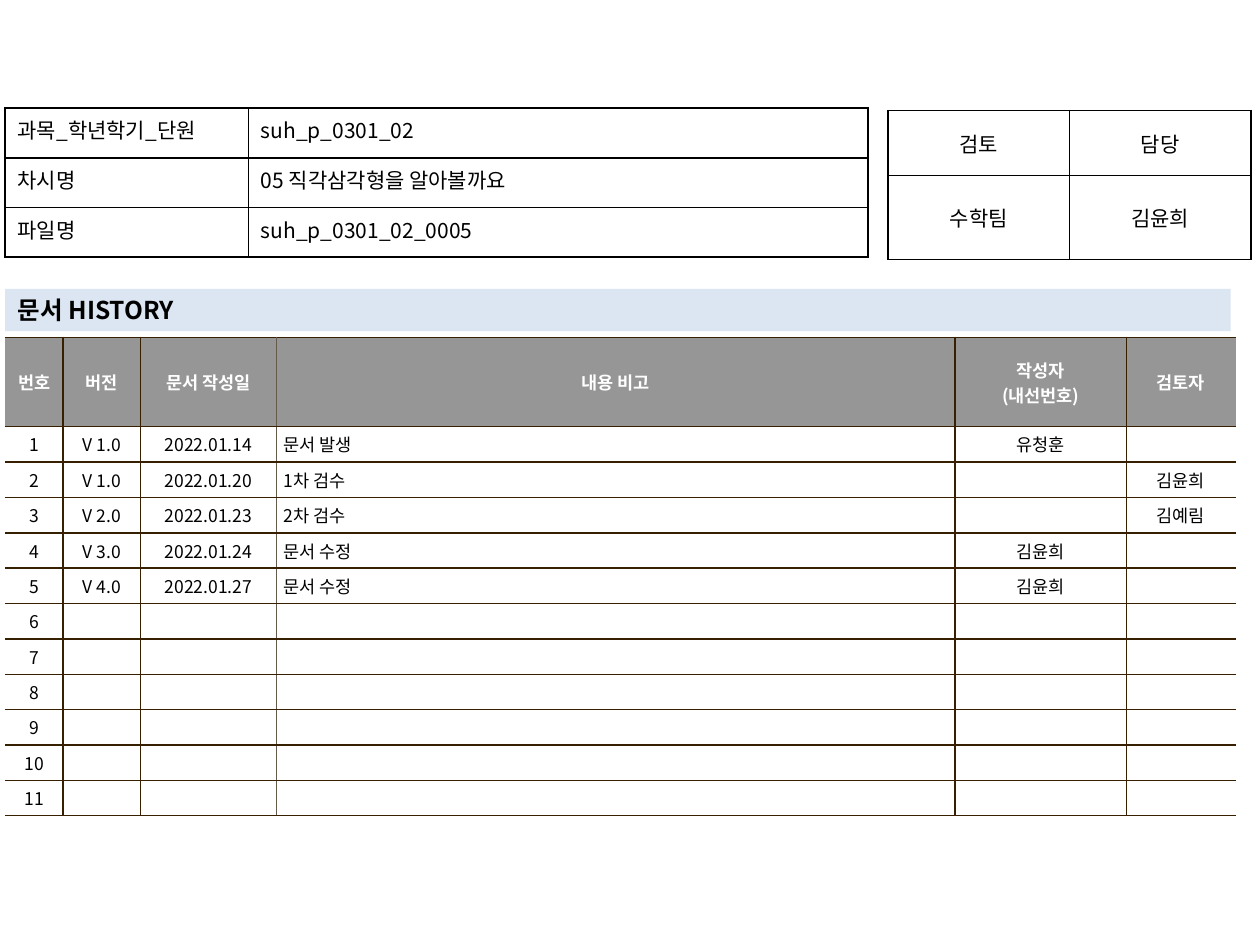
from lxml import etree
from pptx import Presentation
from pptx.dml.color import RGBColor
from pptx.enum import text
from pptx.oxml.ns import qn
from pptx.util import Pt

FONT = "Noto Sans CJK KR"
COLORS = {
    "ink": "000000",
    "white": "FFFFFF",
    "header": "969696",
    "band": "DCE6F2",
    "rule": "362000",
    "soft_rule": "645B4C",
}
ALIGN = text.PP_ALIGN
ANCHOR = text.MSO_ANCHOR

DOCUMENT_INFO = [
    ("과목_학년학기_단원", "suh_p_0301_02"),
    ("차시명", "05 직각삼각형을 알아볼까요"),
    ("파일명", "suh_p_0301_02_0005"),
]
APPROVAL = [("검토", "담당"), ("수학팀", "김윤희")]
HISTORY_HEADER = ("번호", "버전", "문서 작성일", "내용 비고", "작성자\n(내선번호)", "검토자")
HISTORY = [
    ("V 1.0", "2022.01.14", "문서 발생", "유청훈", ""),
    ("V 1.0", "2022.01.20", "1차 검수", "", "김윤희"),
    ("V 2.0", "2022.01.23", "2차 검수", "", "김예림"),
    ("V 3.0", "2022.01.24", "문서 수정", "김윤희", ""),
    ("V 4.0", "2022.01.27", "문서 수정", "김윤희", ""),
]
HISTORY_LENGTH = 11


def rgb(name):
    return RGBColor.from_string(COLORS[name])


def write(frame, wording, size=12, bold=False, color="ink", align=ALIGN.LEFT):
    """Fill a text frame, one paragraph per line of wording."""
    frame.text = wording
    for paragraph in frame.paragraphs:
        paragraph.alignment = align
        for run in paragraph.runs:
            run.font.name = FONT
            run.font.size = Pt(size)
            run.font.bold = bold
            run.font.color.rgb = rgb(color)
            east_asian = etree.SubElement(run.font._element, qn("a:ea"))
            east_asian.set("typeface", FONT)
        if not paragraph.runs:
            # An empty cell takes its line height from the end mark.
            end = etree.SubElement(paragraph._p, qn("a:endParaRPr"))
            end.set("sz", str(size * 100))


def draw_borders(cell, left, right, top, bottom):
    """Draw 1 pt cell borders; None leaves a side open."""
    properties = cell._tc.get_or_add_tcPr()
    for side, color in zip("LRTB", (left, right, top, bottom)):
        line = etree.SubElement(properties, qn(f"a:ln{side}"), w=str(Pt(1)))
        if color is None:
            etree.SubElement(line, qn("a:noFill"))
        else:
            fill = etree.SubElement(line, qn("a:solidFill"))
            etree.SubElement(fill, qn("a:srgbClr"), val=COLORS[color])


def add_grid(slide, left, top, widths, heights):
    """Add an unstyled table with the given column widths and row heights."""
    grid = slide.shapes.add_table(
        len(heights), len(widths), Pt(left), Pt(top),
        Pt(sum(widths)), Pt(sum(heights))).table
    grid.first_row = False
    grid.horz_banding = False
    for column, width in zip(grid.columns, widths):
        column.width = Pt(width)
    for row, height in zip(grid.rows, heights):
        row.height = Pt(height)
    return grid


def add_boxed_table(slide, left, top, widths, heights, records, aligns, anchor):
    grid = add_grid(slide, left, top, widths, heights)
    for r, record in enumerate(records):
        for c, wording in enumerate(record):
            cell = grid.cell(r, c)
            draw_borders(cell, *["ink"] * 4)
            cell.fill.background()
            cell.vertical_anchor = anchor
            write(cell.text_frame, wording, align=aligns[c])


def add_history_title(slide, left, top, width, height):
    title = slide.shapes.title
    title.left, title.top = Pt(left), Pt(top)
    title.width, title.height = Pt(width), Pt(height)
    title.fill.solid()
    title.fill.fore_color.rgb = rgb("band")
    frame = title.text_frame
    frame.auto_size = text.MSO_AUTO_SIZE.NONE
    frame.word_wrap = True
    frame.vertical_anchor = ANCHOR.MIDDLE
    write(frame, "문서 HISTORY", size=14, bold=True)


def add_history_table(slide, left, top):
    widths = [33.2, 44.2, 77.6, 388, 97.8, 62.4]
    grid = add_grid(slide, left, top, widths, [51] + [18] * HISTORY_LENGTH)
    blank = ("",) * len(HISTORY[0])
    entries = HISTORY + [blank] * (HISTORY_LENGTH - len(HISTORY))
    records = [HISTORY_HEADER]
    records += [(str(n), *entry) for n, entry in enumerate(entries, 1)]
    verticals = [None, "rule", "rule", "soft_rule", "rule", "rule", None]
    note_column = HISTORY_HEADER.index("내용 비고")

    for r, record in enumerate(records):
        is_header = r == 0
        for c, wording in enumerate(record):
            cell = grid.cell(r, c)
            draw_borders(cell, verticals[c], verticals[c + 1], "rule", "rule")
            cell.fill.solid()
            cell.fill.fore_color.rgb = rgb("header" if is_header else "white")
            cell.vertical_anchor = ANCHOR.MIDDLE
            cell.margin_left = cell.margin_right = Pt(4.3)
            cell.margin_top = cell.margin_bottom = Pt(2.9)
            is_note = c == note_column and not is_header
            write(cell.text_frame, wording, size=10, bold=is_header,
                  color="white" if is_header else "ink",
                  align=ALIGN.LEFT if is_note else ALIGN.CENTER)


def main():
    deck = Presentation()
    deck.slide_width, deck.slide_height = Pt(720), Pt(540)
    title_only = deck.slide_layouts[5]
    slide = deck.slides.add_slide(title_only)
    margin = 2.9

    add_history_table(slide, margin, 192.8)
    add_boxed_table(slide, 507.5, 63.2, [103.7] * 2, [37.2, 47.8],
                    APPROVAL, [ALIGN.CENTER] * 2, ANCHOR.MIDDLE)
    add_history_title(slide, margin, 165, 700.3, 24.2)
    add_boxed_table(slide, margin, 61.8, [139, 354.2], [28.4] * 3,
                    DOCUMENT_INFO, [ALIGN.JUSTIFY, ALIGN.LEFT], ANCHOR.TOP)
    deck.save("out.pptx")


if __name__ == "__main__":
    main()
